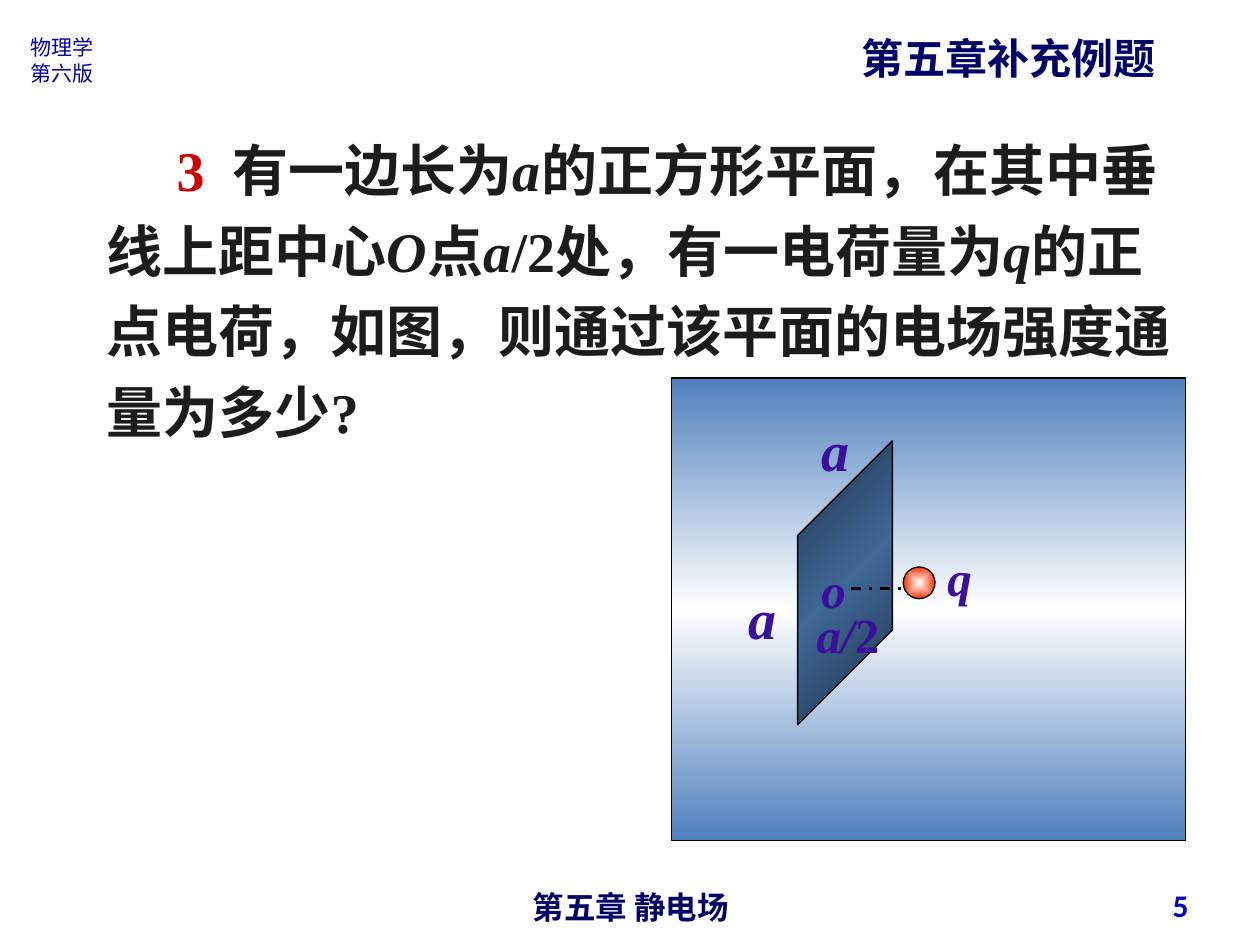
"""Build the physics exercise slide on electric flux through a square plane."""
from dataclasses import dataclass
from typing import Optional

from lxml import etree
from pptx import Presentation
from pptx import util as u
from pptx.dml.color import RGBColor
from pptx.enum import dml, shapes, text
from pptx.oxml import ns

SANS, SERIF = "Noto Sans CJK SC", "Times New Roman"
NAVY, PURPLE, INK, RED, BLACK = "000066", "3A0F99", "1C1C1C", "CC0000", "000000"
LEFT, MID, RIGHT = text.PP_ALIGN.LEFT, text.PP_ALIGN.CENTER, text.PP_ALIGN.RIGHT


@dataclass
class Part:
    words: str
    slant: bool = False
    hue: Optional[str] = None


@dataclass
class Note:
    left: float
    top: float
    width: float
    height: float
    lines: list[list[Part]]
    size: int
    hue: str
    font: str = SANS
    bold: bool = True
    align: text.PP_ALIGN = LEFT
    wrap: bool = True
    grow: bool = True
    anchor: text.MSO_ANCHOR = text.MSO_ANCHOR.TOP


@dataclass
class Solid:
    kind: shapes.MSO_SHAPE
    left: float
    top: float
    width: float
    height: float
    stops: list[tuple[int, str]]
    angle: Optional[int] = None


def tint(hue: str) -> RGBColor:
    """Turn a hex string into a colour."""
    return RGBColor.from_string(hue)


def add_node(parent, tag: str, **attrs):
    """Append an XML element with the given attributes."""
    return etree.SubElement(parent, ns.qn(tag), {k: str(v) for k, v in attrs.items()})


def add_note(slide, note: Note):
    """Draw a text box and return its text frame."""
    box = slide.shapes.add_textbox(*map(u.Cm, (note.left, note.top, note.width, note.height)))
    frame = box.text_frame
    frame.word_wrap = note.wrap
    frame.vertical_anchor = note.anchor
    fit = text.MSO_AUTO_SIZE
    frame.auto_size = fit.SHAPE_TO_FIT_TEXT if note.grow else fit.NONE
    for i, parts in enumerate(note.lines):
        para = frame.add_paragraph() if i else frame.paragraphs[0]
        para.alignment = note.align
        for part in parts:
            run = para.add_run()
            run.text = part.words
            font = run.font
            font.name, font.size = note.font, u.Pt(note.size)
            font.bold, font.italic = note.bold, part.slant
            font.color.rgb = tint(part.hue or note.hue)
            add_node(font._element, "a:ea", typeface=SANS)
    return frame


def add_solid(slide, solid: Solid):
    """Draw an outlined shape with a linear or centred gradient."""
    place = map(u.Cm, (solid.left, solid.top, solid.width, solid.height))
    shape = slide.shapes.add_shape(solid.kind, *place)
    shape.shadow.inherit = False
    shape.line.color.rgb = tint(BLACK)
    shape.line.width = u.Pt(0.75)
    shape.fill.gradient()
    grad = shape.element.spPr.find(ns.qn("a:gradFill"))
    for child in list(grad):
        grad.remove(child)
    stops = add_node(grad, "a:gsLst")
    for pos, hue in solid.stops:
        add_node(add_node(stops, "a:gs", pos=pos * 1000), "a:srgbClr", val=hue)
    if solid.angle is None:
        half = dict.fromkeys("ltrb", 50000)
        add_node(add_node(grad, "a:path", path="rect"), "a:fillToRect", **half)
    else:
        add_node(grad, "a:lin", ang=solid.angle * 60000, scaled=0)
    return shape


def add_axis(slide) -> None:
    """Draw the dash-dot line from the plane centre to the charge."""
    ends = map(u.Cm, (17.15, 11.86, 18.42, 11.86))
    axis = slide.shapes.add_connector(shapes.MSO_CONNECTOR.STRAIGHT, *ends)
    axis.line.color.rgb = tint(BLACK)
    axis.line.width = u.Pt(1.5)
    axis.line.dash_style = dml.MSO_LINE.DASH_DOT
    add_node(axis.element.spPr, "a:effectLst")


def add_task(slide) -> None:
    """Write the exercise with an indented, tabbed number."""
    parts = [
        Part("3\t", hue=RED), Part("有一边长为"), Part("a", True),
        Part("的正方形平面，在其中垂线上距中心"), Part("O", True), Part("点"),
        Part("a", True), Part("/2处，有一电荷量为"), Part("q", True),
        Part("的正点电荷，如图，则通过该平面的电场强度通量为多少?"),
    ]
    note = Note(1.9, 2.34, 22.23, 6.76, [parts], 32, INK, SERIF)
    para = add_note(slide, note).paragraphs[0]
    para.line_spacing = 1.2
    props = para._p.get_or_add_pPr()
    props.set("marL", "0")
    props.set("indent", str(u.Cm(1.41)))
    add_node(add_node(props, "a:tabLst"), "a:tab", pos=u.Cm(3.05), algn="l")


def add_mark(slide, left: float, top: float, word: str, size: int) -> None:
    """Write an italic symbol in the figure."""
    width, height = (1.07, 1.63) if size == 32 else (0.99, 1.45)
    add_note(slide, Note(left, top, width, height, [[Part(word, True)]],
                         size, PURPLE, SERIF, wrap=False))


def add_figure(slide) -> None:
    """Draw the plane, the charge and their labels."""
    kind = shapes.MSO_SHAPE
    blue, dark, white = "4F81BD", "253C57", "FFFFFF"
    add_solid(slide, Solid(kind.RECTANGLE, 13.54, 7.62, 10.36, 9.32,
                           [(0, blue), (50, white), (100, blue)], 90))
    plane = add_solid(slide, Solid(kind.CUBE, 16.08, 8.89, 1.91, 5.72,
                                   [(0, dark), (50, blue), (100, dark)], 45))
    plane.adjustments[0] = 1
    add_axis(slide)
    for mark in ((14.83, 11.63, "a", 32), (16.31, 11.15, "o", 28),
                 (18.85, 10.92, "q", 28), (16.31, 8.26, "a", 32)):
        add_mark(slide, *mark)
    add_note(slide, Note(16.18, 12.07, 1.83, 1.45, [[Part("a/", True), Part("2")]],
                         28, PURPLE, SERIF, align=MID))
    add_solid(slide, Solid(kind.OVAL, 18.21, 11.43, 0.64, 0.64,
                           [(0, white), (100, "FF3300")]))


def main() -> None:
    """Build and save the slide."""
    deck = Presentation()
    deck.slide_width, deck.slide_height = u.Cm(25.4), u.Cm(19.05)
    slide = deck.slides.add_slide(deck.slide_layouts[6])
    add_note(slide, Note(0.36, 0.58, 1.83, 1.27, [[Part("物理学")], [Part("第六版")]],
                         12, "000099", bold=False))
    add_note(slide, Note(17.12, 0.53, 6.43, 1.27, [[Part("第五章补充例题")]],
                         24, NAVY, align=MID, wrap=False))
    add_note(slide, Note(8.69, 17.78, 8.05, 0.74, [[Part("第五章 静电场")]],
                         18, NAVY, "Arial", align=MID, grow=False))
    add_task(slide)
    add_figure(slide)
    add_note(slide, Note(18.29, 17.73, 5.92, 1.02, [[Part("5")]], 18, "0000CC", "Calibri",
                         align=RIGHT, grow=False, anchor=text.MSO_ANCHOR.MIDDLE))
    deck.save("out.pptx")


if __name__ == "__main__":
    main()
